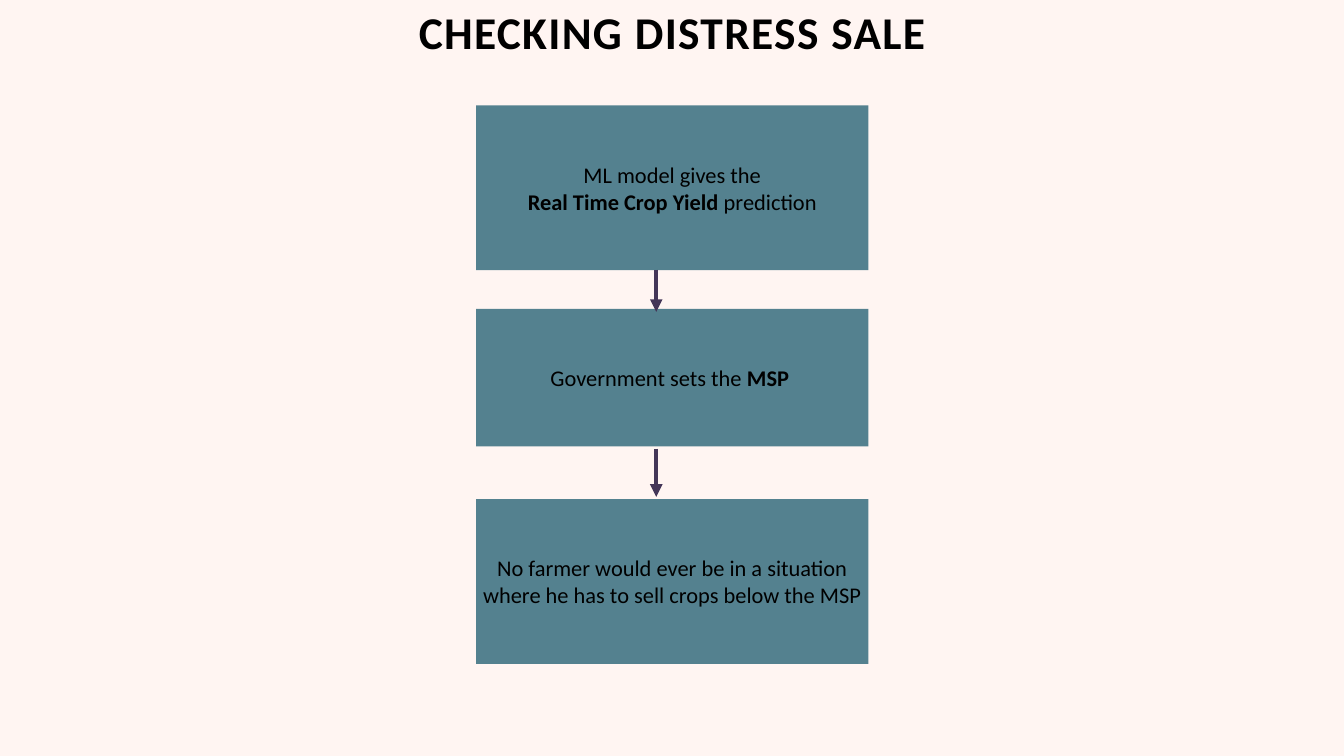
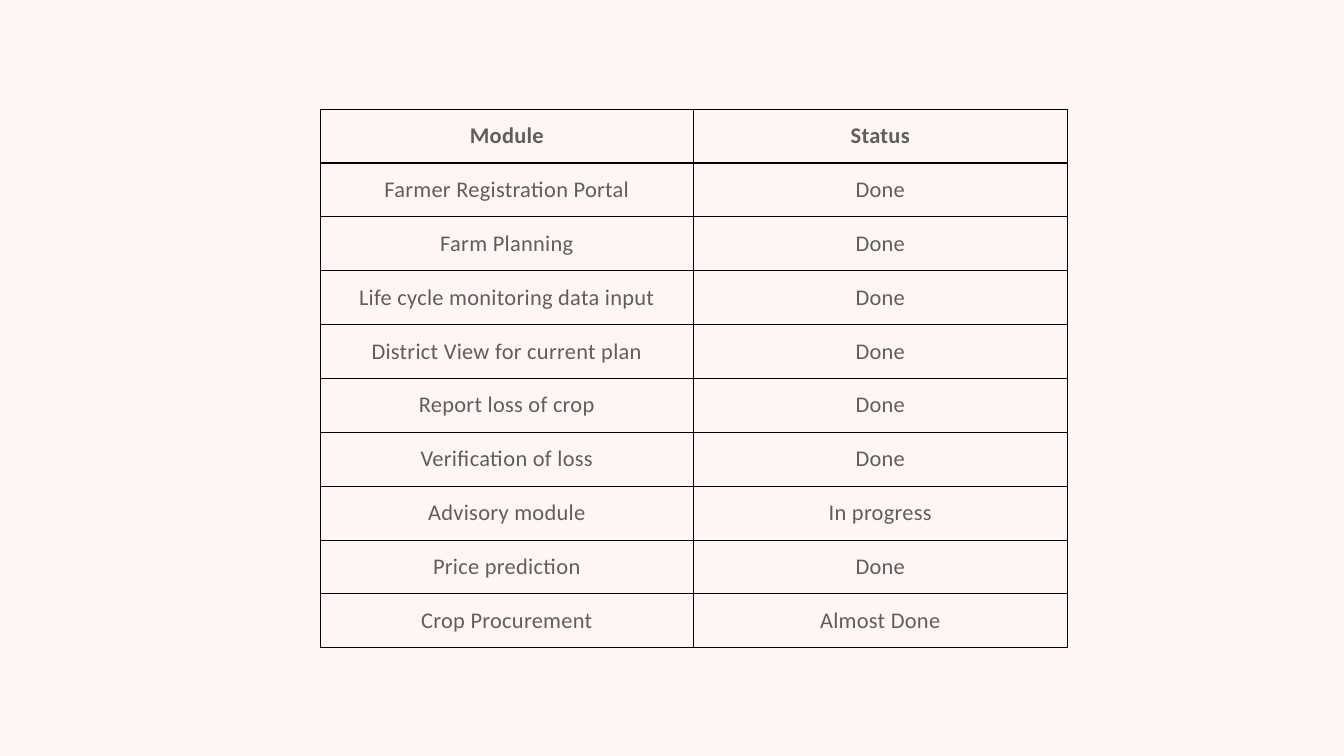
from lxml.etree import SubElement
from pptx import Presentation
from pptx.dml.color import RGBColor
from pptx.enum.shapes import MSO_CONNECTOR as Connector, MSO_SHAPE as Shape
from pptx.enum.text import MSO_ANCHOR as Anchor, PP_ALIGN as Align
from pptx.oxml.ns import qn
from pptx.util import Cm, Pt

COLORS = {
    "background": "FFF5F2",
    "step": "54818F",
    "arrow": "443658",
    "text": "000000",
    "table_text": "5E5E5E",
    "border": "000000",
}
FONT = "Calibri"
BODY_SIZE = 32
INSET = Cm(0.15)

STEPS = [
    (0, 8.31, [[("ML model gives the", False)],
               [("Real Time Crop Yield", True), (" prediction", False)]]),
    (10.26, 6.93, [[("Government sets the ", False), ("MSP ", True)]]),
    (19.84, 8.31, [[("No farmer would ever be in a situation where he has "
                     "to sell crops below the MSP", False)]]),
]
ARROWS = [(8.28, 10.41), (17.3, 19.73)]

MODULES = [
    ("Module", "Status"),
    ("Farmer Registration Portal", "Done"),
    ("Farm Planning", "Done"),
    ("Life cycle monitoring data input", "Done"),
    ("District View for current plan", "Done"),
    ("Report loss of crop", "Done"),
    ("Verification of loss", "Done"),
    ("Advisory module", "In progress"),
    ("Price prediction", "Done"),
    ("Crop Procurement", "Almost Done"),
]


def color(name):
    return RGBColor.from_string(COLORS[name])


def add_run(paragraph, text, size=BODY_SIZE, bold=False, color_name="text", tracking=0):
    run = paragraph.add_run()
    run.text = text
    run.font.name = FONT
    run.font.size = Pt(size)
    run.font.bold = bold
    run.font.color.rgb = color(color_name)
    if tracking:
        run.font._element.set("spc", str(round(tracking * 100)))


def set_insets(holder):
    holder.margin_left = holder.margin_right = INSET
    holder.margin_top = holder.margin_bottom = INSET


def add_title(slide, text, left, top, width, height):
    frame = slide.shapes.add_textbox(Cm(left), Cm(top), Cm(width), Cm(height)).text_frame
    frame.word_wrap = True
    set_insets(frame)
    paragraph = frame.paragraphs[0]
    paragraph.alignment = Align.CENTER
    paragraph.line_spacing = 0.9
    add_run(paragraph, text, size=64.9, bold=True, tracking=1.9)


def add_step(slide, left, top, width, height, lines):
    shape = slide.shapes.add_shape(Shape.RECTANGLE, Cm(left), Cm(top), Cm(width), Cm(height))
    shape.shadow.inherit = False
    shape.fill.solid()
    shape.fill.fore_color.rgb = color("step")
    shape.line.fill.background()
    frame = shape.text_frame
    frame.word_wrap = True
    frame.vertical_anchor = Anchor.MIDDLE
    set_insets(frame)
    for index, runs in enumerate(lines):
        paragraph = frame.add_paragraph() if index else frame.paragraphs[0]
        paragraph.alignment = Align.CENTER
        for text, bold in runs:
            add_run(paragraph, text, bold=bold)


def add_arrow(slide, x, start, end):
    arrow = slide.shapes.add_connector(Connector.STRAIGHT, Cm(x), Cm(start), Cm(x), Cm(end))
    arrow.line.color.rgb = color("arrow")
    arrow.line.width = Pt(6)
    SubElement(arrow.line._get_or_add_ln(), qn("a:tailEnd"), type="triangle")
    SubElement(arrow._element.spPr, qn("a:effectLst"))


def add_flow(slide, left, top, width):
    for offset, height, lines in STEPS:
        add_step(slide, left, top + offset, width, height, lines)
    for start, end in ARROWS:
        add_arrow(slide, left + 9.07, top + start, top + end)


def set_borders(cell, widths):
    properties = cell._tc.get_or_add_tcPr()
    for side in "LRTB":
        width = Pt(widths.get(side, 1))
        line = SubElement(properties, qn(f"a:ln{side}"), w=str(width))
        fill = SubElement(line, qn("a:solidFill"))
        SubElement(fill, qn("a:srgbClr"), val=COLORS["border"])


def add_status_table(slide, left, top, width, height):
    table = slide.shapes.add_table(len(MODULES), len(MODULES[0]), Cm(left), Cm(top),
                                   Cm(width), Cm(height)).table
    table.first_row = table.horz_banding = False
    for row in table.rows:
        row.height = Cm(height / len(MODULES))
    for row_index, values in enumerate(MODULES):
        header = row_index == 0
        for column_index, text in enumerate(values):
            cell = table.cell(row_index, column_index)
            cell.vertical_anchor = Anchor.MIDDLE
            set_insets(cell)
            if header:
                set_borders(cell, {"B": 3})
            else:
                set_borders(cell, {"R": 3} if column_index == 0 else {})
            cell.fill.background()
            paragraph = cell.text_frame.paragraphs[0]
            paragraph.alignment = Align.CENTER
            add_run(paragraph, text, bold=header, color_name="table_text", tracking=0.4)


def main():
    presentation = Presentation()
    presentation.slide_width = Cm(67.73)
    presentation.slide_height = Cm(38.1)
    background = presentation.slide_master.background.fill
    background.solid()
    background.fore_color.rgb = color("background")
    blank = presentation.slide_layouts[6]

    flow_slide = presentation.slides.add_slide(blank)
    add_title(flow_slide, "CHECKING DISTRESS SALE", 17.6, 0.36, 32.56, 3.81)
    add_flow(flow_slide, 24, 5.31, 19.76)

    status_slide = presentation.slides.add_slide(blank)
    add_status_table(status_slide, 16.13, 5.49, 37.64, 27.15)

    presentation.save("out.pptx")


if __name__ == "__main__":
    main()
